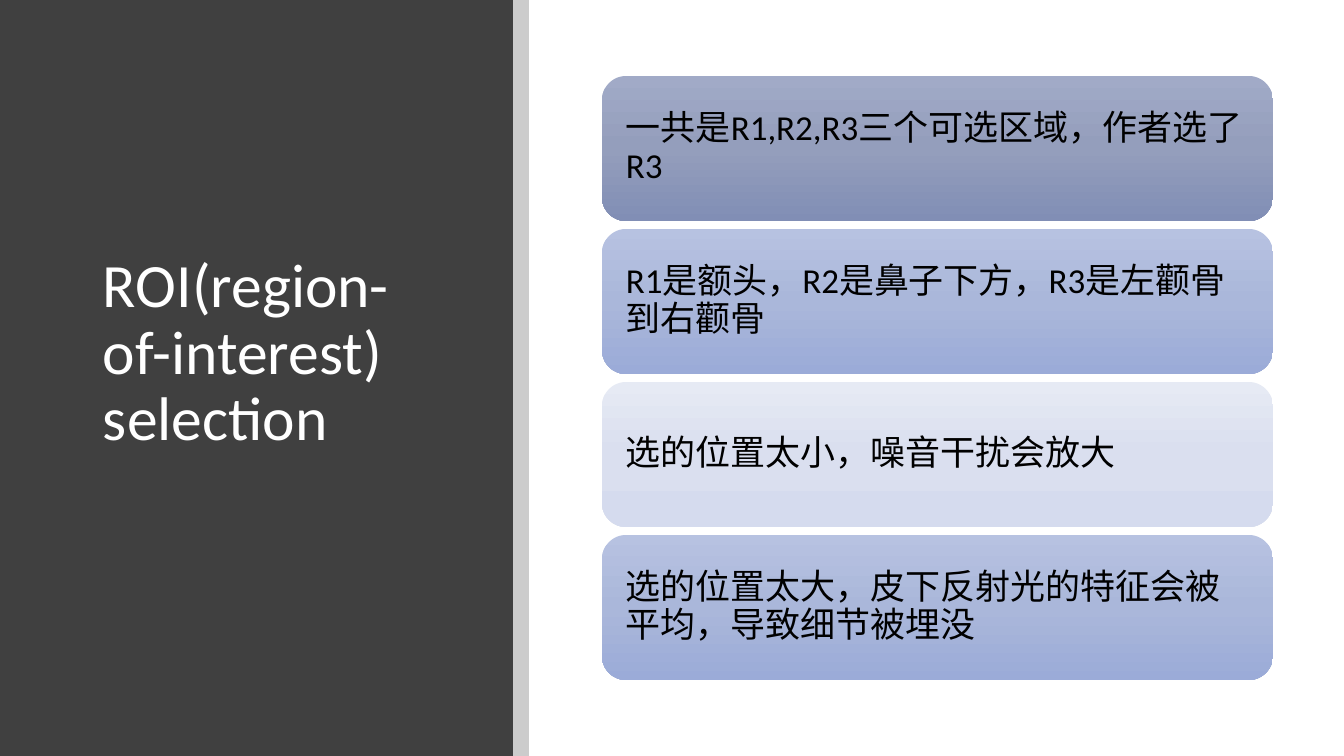
from copy import deepcopy

from lxml import etree
from pptx import Presentation
from pptx import util as u
from pptx.dml.color import RGBColor
from pptx.enum import shapes, text
from pptx.oxml.ns import qn

# Content: card text with the name of its gradient
TITLE = "ROI(region-of-interest) selection"
CARDS = [
    ("一共是R1,R2,R3三个可选区域，作者选了R3", "dark"),
    ("R1是额头，R2是鼻子下方，R3是左颧骨到右颧骨", "medium"),
    ("选的位置太小，噪音干扰会放大", "light"),
    ("选的位置太大，皮下反射光的特征会被平均，导致细节被埋没", "medium"),
]

# Theme
THEME = {
    "font": "Calibri",
    "title": {"size": 44, "color": "FFFFFF"},
    "card": {"size": 25, "color": "000000"},
    "panel": "404040",
    "divider": "000000",
    "divider_alpha": 20,
    "gradients": {
        "dark": ("A1AAC7", "949EBC", "818EB5"),
        "medium": ("B7C2E1", "AAB7DA", "9BABD8"),
        "light": ("E6EAF4", "DADFEF", "D5DBEE"),
    },
}

# Layout in px: left, top, width, height
SLIDE_SIZE = (1344, 756)
PANEL = (0, 0, 513, 756)
DIVIDER = (513, 0, 16, 756)
TITLE_BOX = (93, 90, 368, 596)
TITLE_MARGINS = (10, 5, 10, 72)
FIRST_CARD = (602, 76, 671, 145)
CARD_GAP = 8
CARD_MARGINS = (17, 17, 17, 17)
EMU_PER_PX = 914400 / 100.8


def px(value):
    return u.Emu(round(value * EMU_PER_PX))


def set_all(target, values):
    for name, value in values.items():
        setattr(target, name, value)


def add_block(slide, kind, box):
    shape = slide.shapes.add_shape(kind, *map(px, box))
    shape.shadow.inherit = False
    shape.line.fill.background()
    return shape


def fill_solid(shape, color, alpha=100):
    shape.fill.solid()
    shape.fill.fore_color.rgb = RGBColor.from_string(color)
    if alpha < 100:
        color_element = shape._element.spPr.find(".//" + qn("a:srgbClr"))
        etree.SubElement(color_element, qn("a:alpha"), val=str(alpha * 1000))


def fill_gradient(shape, colors):
    shape.fill.gradient()
    shape.fill.gradient_angle = 270
    stop_list = shape._element.spPr.find(".//" + qn("a:gsLst"))
    stop_list.insert(1, deepcopy(stop_list[0]))
    for index, (stop, color) in enumerate(zip(shape.fill.gradient_stops, colors)):
        stop.position = index / (len(colors) - 1)
        stop.color.rgb = RGBColor.from_string(color)


def write(shape, content, style, margins):
    frame = shape.text_frame
    frame.text = content
    sides = ("margin_left", "margin_top", "margin_right", "margin_bottom")
    set_all(frame, dict(zip(sides, map(px, margins))))
    set_all(frame, {
        "word_wrap": True,
        "auto_size": text.MSO_AUTO_SIZE.NONE,
        "vertical_anchor": text.MSO_ANCHOR.MIDDLE,
    })
    paragraph = frame.paragraphs[0]
    set_all(paragraph, {"alignment": text.PP_ALIGN.LEFT, "line_spacing": 0.9})
    font = paragraph.runs[0].font
    set_all(font, {"name": THEME["font"], "size": u.Pt(style["size"])})
    font.color.rgb = RGBColor.from_string(style["color"])


def main():
    presentation = Presentation()
    set_all(presentation, dict(zip(("slide_width", "slide_height"), map(px, SLIDE_SIZE))))
    slide = presentation.slides.add_slide(presentation.slide_layouts[5])
    rectangle = shapes.MSO_SHAPE.RECTANGLE
    rounded = shapes.MSO_SHAPE.ROUNDED_RECTANGLE

    # Left panel and divider
    fill_solid(add_block(slide, rectangle, PANEL), THEME["panel"])
    fill_solid(add_block(slide, rectangle, DIVIDER), THEME["divider"], THEME["divider_alpha"])

    # Title, raised above the panel
    title = slide.shapes.title
    set_all(title, dict(zip(("left", "top", "width", "height"), map(px, TITLE_BOX))))
    write(title, TITLE, THEME["title"], TITLE_MARGINS)
    slide.shapes._spTree.append(title._element)

    # Stacked cards
    left, top, width, height = FIRST_CARD
    for row, (content, gradient) in enumerate(CARDS):
        card_top = top + row * (height + CARD_GAP)
        card = add_block(slide, rounded, (left, card_top, width, height))
        fill_gradient(card, THEME["gradients"][gradient])
        write(card, content, THEME["card"], CARD_MARGINS)

    presentation.save("out.pptx")


if __name__ == "__main__":
    main()
